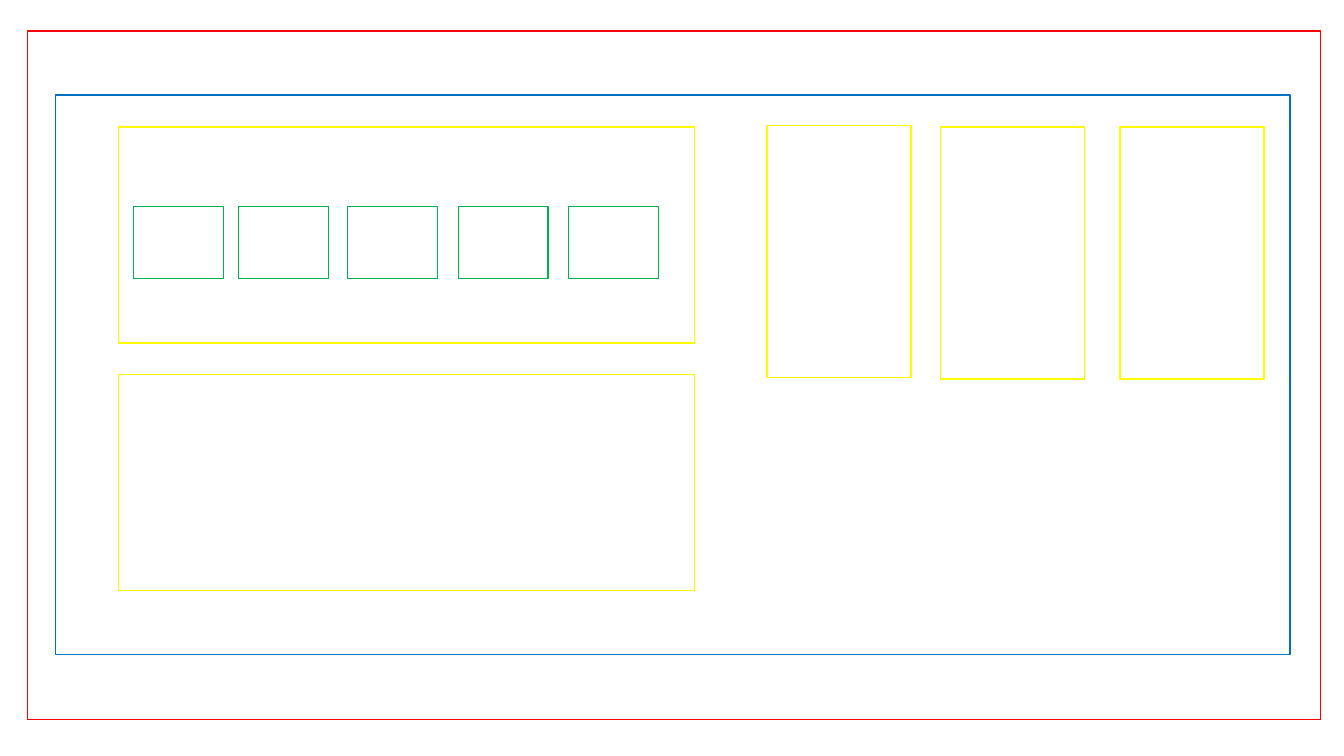
from pptx import Presentation
from pptx.dml.color import RGBColor
from pptx.enum.shapes import MSO_SHAPE
from pptx.util import Cm, Pt

# Content, lengths in cm: each group has a line colour, a fill,
# a box size and the (left, top) corner of every box, from back to front
BACKGROUND = "FFFFFF"
SLIDE_SIZE = (37.34, 21)
CELL_TOP = 5.74
CELL_LEFTS = (3.71, 6.63, 9.65, 12.73, 15.8)

GROUPS = [
    {"name": "Inner frame", "line": "0070C0", "fill": "FFFFFF",
     "size": (34.29, 15.54), "corners": [(1.55, 2.64)]},
    {"name": "Outer frame", "line": "FF0000", "fill": None,
     "size": (35.92, 19.13), "corners": [(0.76, 0.86)]},
    {"name": "Wide panel", "line": "FFFF00", "fill": None,
     "size": (16, 6), "corners": [(3.3, 3.53), (3.3, 10.41)]},
    {"name": "Tall panel", "line": "FFFF00", "fill": None,
     "size": (4, 7), "corners": [(21.31, 3.48), (26.14, 3.53), (31.12, 3.53)]},
    {"name": "Cell", "line": "00B050", "fill": None,
     "size": (2.5, 2), "corners": [(left, CELL_TOP) for left in CELL_LEFTS]},
]


def color(hex_value):
    return RGBColor.from_string(hex_value)


def paint(fill, hex_value):
    if hex_value is None:
        fill.background()
    else:
        fill.solid()
        fill.fore_color.rgb = color(hex_value)


def add_box(slide, name, corner, size, line, fill):
    shape = slide.shapes.add_shape(
        MSO_SHAPE.RECTANGLE, *(Cm(length) for length in corner + size))
    shape.name = name
    shape.shadow.inherit = False
    paint(shape.fill, fill)
    shape.line.color.rgb = color(line)
    shape.line.width = Pt(1)


def main():
    presentation = Presentation()
    presentation.slide_width, presentation.slide_height = map(Cm, SLIDE_SIZE)

    # Blank layout
    slide = presentation.slides.add_slide(presentation.slide_layouts[6])
    paint(slide.background.fill, BACKGROUND)

    # Nested boxes
    for group in GROUPS:
        for number, corner in enumerate(group["corners"], start=1):
            add_box(slide, f"{group['name']} {number}", corner,
                    group["size"], group["line"], group["fill"])

    presentation.save("out.pptx")


if __name__ == "__main__":
    main()
